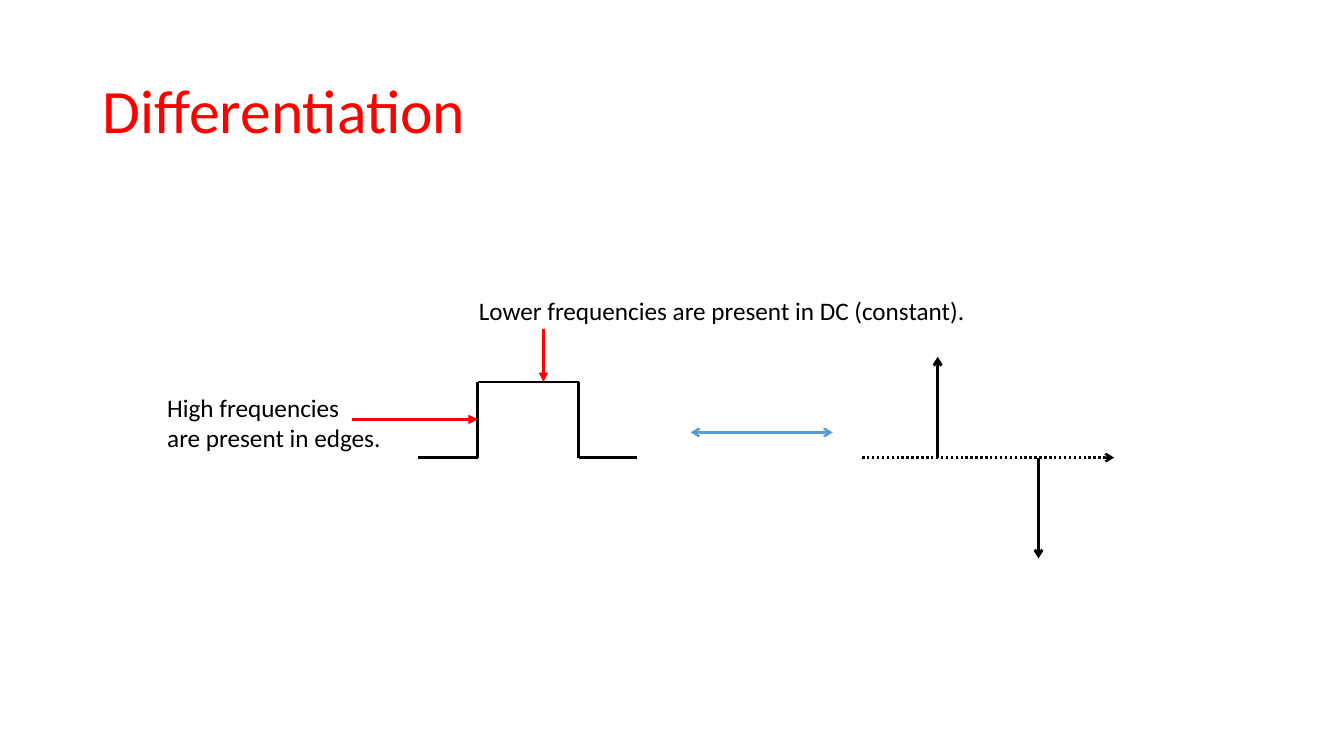
"""Build the Differentiation slide: a pulse and the impulses at its edges."""
from itertools import pairwise

from lxml import etree
from pptx import Presentation
from pptx.dml.color import RGBColor
from pptx.enum.dml import MSO_LINE
from pptx.enum.shapes import MSO_CONNECTOR
from pptx.enum.text import MSO_ANCHOR
from pptx.oxml.ns import qn
from pptx.util import Inches, Pt

STRAIGHT = MSO_CONNECTOR.STRAIGHT
DOTTED = MSO_LINE.ROUND_DOT
TOP, MIDDLE = MSO_ANCHOR.TOP, MSO_ANCHOR.MIDDLE

COLORS = {"red": "FF0000", "black": "000000", "blue": "5B9BD5"}
FONT = "Calibri"

TEXTS = [
    (["Differentiation"], (0.92, 0.4, 11.5, 1.45), 44, "red", MIDDLE, True, 0.9),
    (["High frequencies", "are present in edges."],
     (1.56, 3.84, 2.35, 0.71), 18, "black", TOP, False, 1.0),
    (["Lower frequencies are present in DC (constant)."],
     (4.65, 2.88, 5.08, 0.4), 18, "black", TOP, False, 1.0),
]

BASELINE, PULSE_TOP = 4.54, 3.79
RISE, FALL = 4.74, 5.74
PULSE = [(4.15, BASELINE), (RISE, BASELINE), (RISE, PULSE_TOP),
         (FALL, PULSE_TOP), (FALL, BASELINE), (6.32, BASELINE)]
IMPULSES = [(9.3, -1), (10.3, 1)]
TIME_AXIS = (8.55, BASELINE), (11.05, BASELINE)
EQUIVALENCE = (6.85, 4.29), (8.26, 4.29)
POINTERS = [((3.49, 4.16), (RISE, 4.16)), ((5.39, 3.26), (5.39, PULSE_TOP))]


def add_text(slide, lines, box, size, color, anchor, wrap, spacing):
    shape = slide.shapes.add_textbox(*map(Inches, box))
    frame = shape.text_frame
    frame.word_wrap = wrap
    frame.vertical_anchor = anchor
    frame.text = "\n".join(lines)
    for paragraph in frame.paragraphs:
        paragraph.line_spacing = spacing
        paragraph.font.name = FONT
        paragraph.font.size = Pt(size)
        paragraph.font.color.rgb = RGBColor.from_string(COLORS[color])


def add_line(slide, start, end, color="black", width=2, head=None, tail=None, dash=None):
    connector = slide.shapes.add_connector(STRAIGHT, *map(Inches, start + end))
    line = connector.line
    line.color.rgb = RGBColor.from_string(COLORS[color])
    line.width = Pt(width)
    if dash:
        line.dash_style = dash
    properties = connector._element.spPr
    outline = properties.find(qn("a:ln"))
    for tag, arrow in (("a:headEnd", head), ("a:tailEnd", tail)):
        if arrow:
            etree.SubElement(outline, qn(tag), type=arrow)
    etree.SubElement(properties, qn("a:effectLst"))


def main():
    presentation = Presentation()
    presentation.slide_width = Inches(13.33)
    presentation.slide_height = Inches(7.5)
    slide = presentation.slides.add_slide(presentation.slide_layouts[6])

    for text in TEXTS:
        add_text(slide, *text)
    add_line(slide, *TIME_AXIS, width=1.75, tail="arrow", dash=DOTTED)
    for x, height in IMPULSES:
        add_line(slide, (x, BASELINE), (x, BASELINE + height), tail="arrow")
    for start, end in pairwise(PULSE):
        add_line(slide, start, end)
    add_line(slide, *EQUIVALENCE, color="blue", width=1.75, head="arrow", tail="arrow")
    for start, end in POINTERS:
        add_line(slide, start, end, color="red", width=2.25, tail="triangle")

    presentation.save("out.pptx")


if __name__ == "__main__":
    main()
